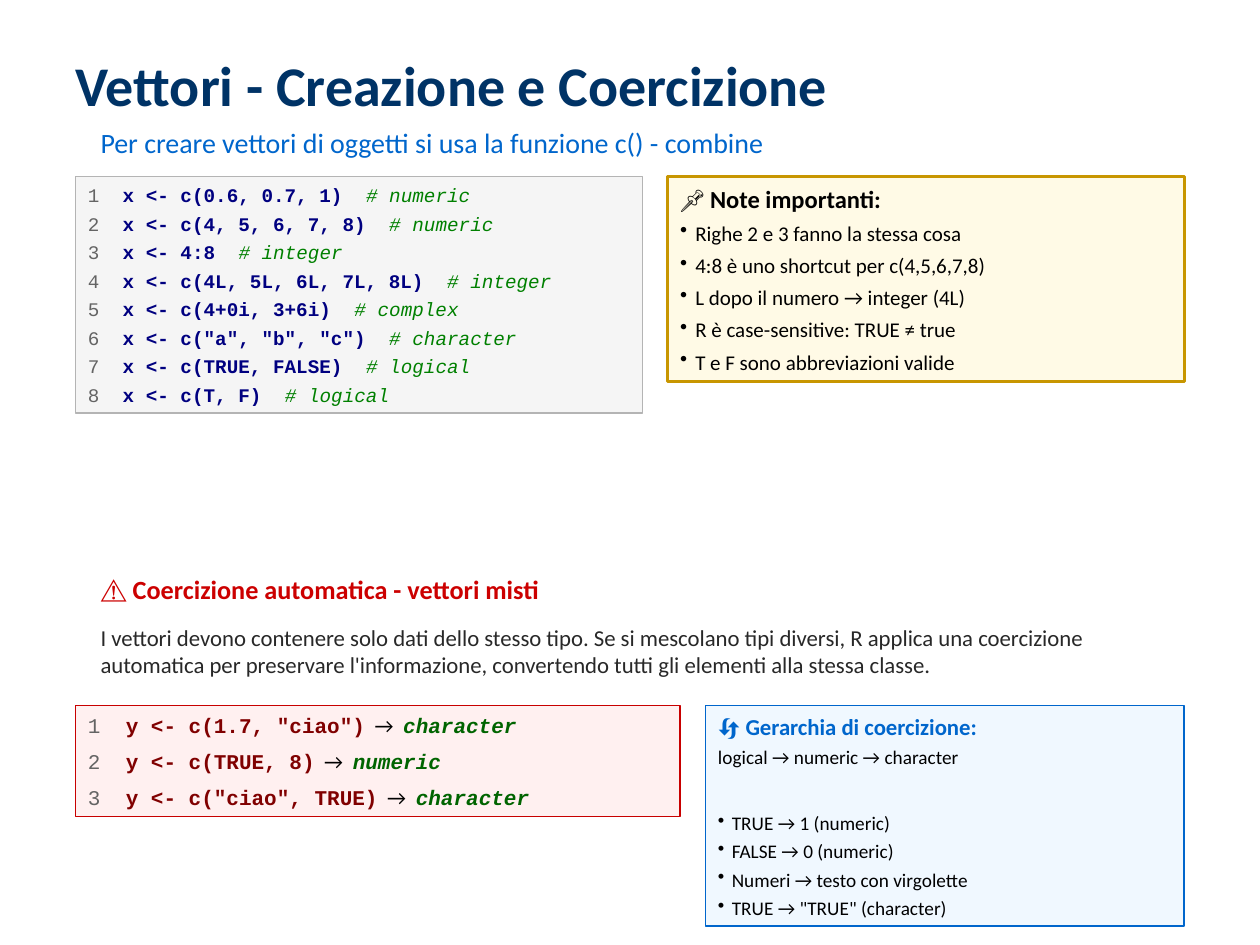
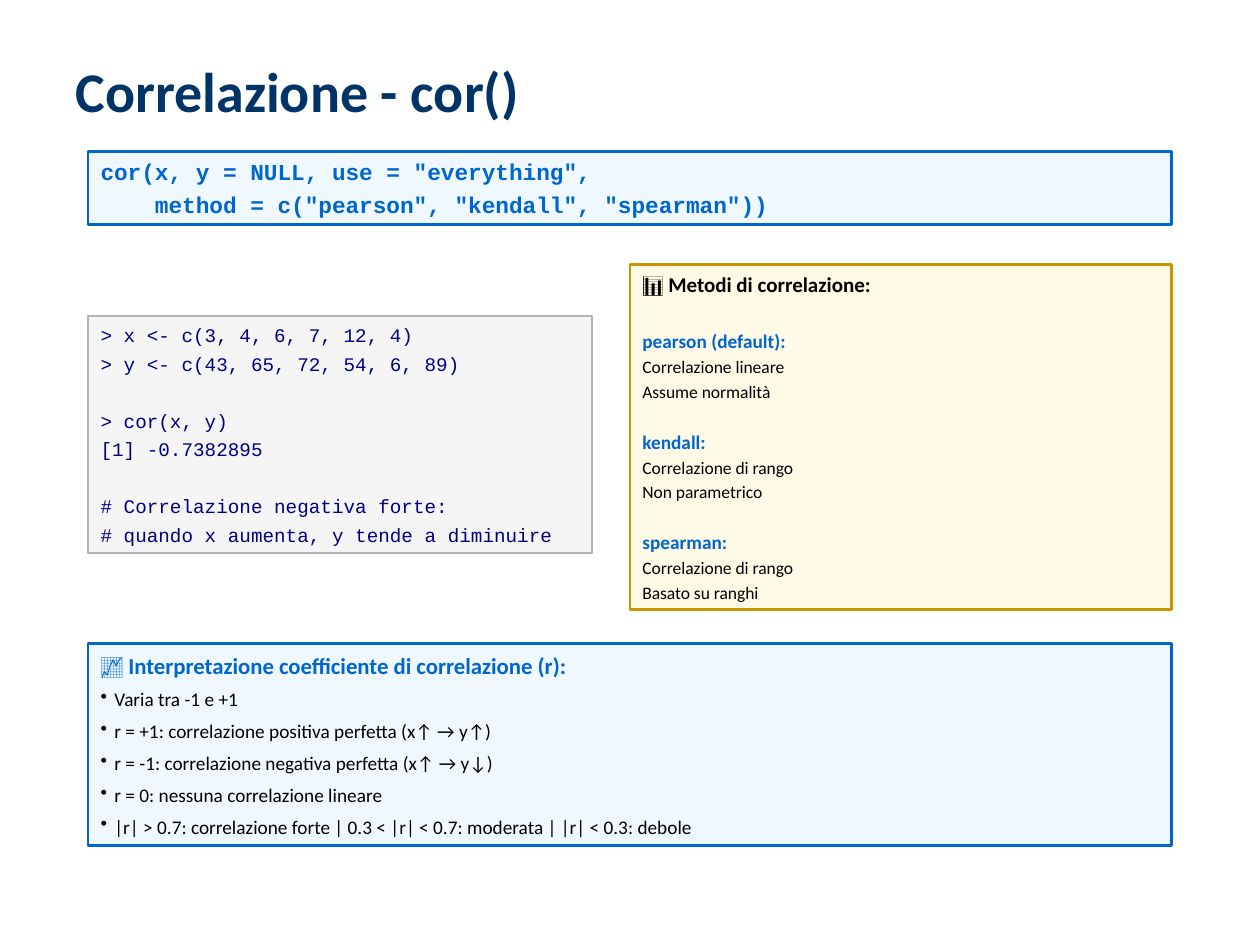
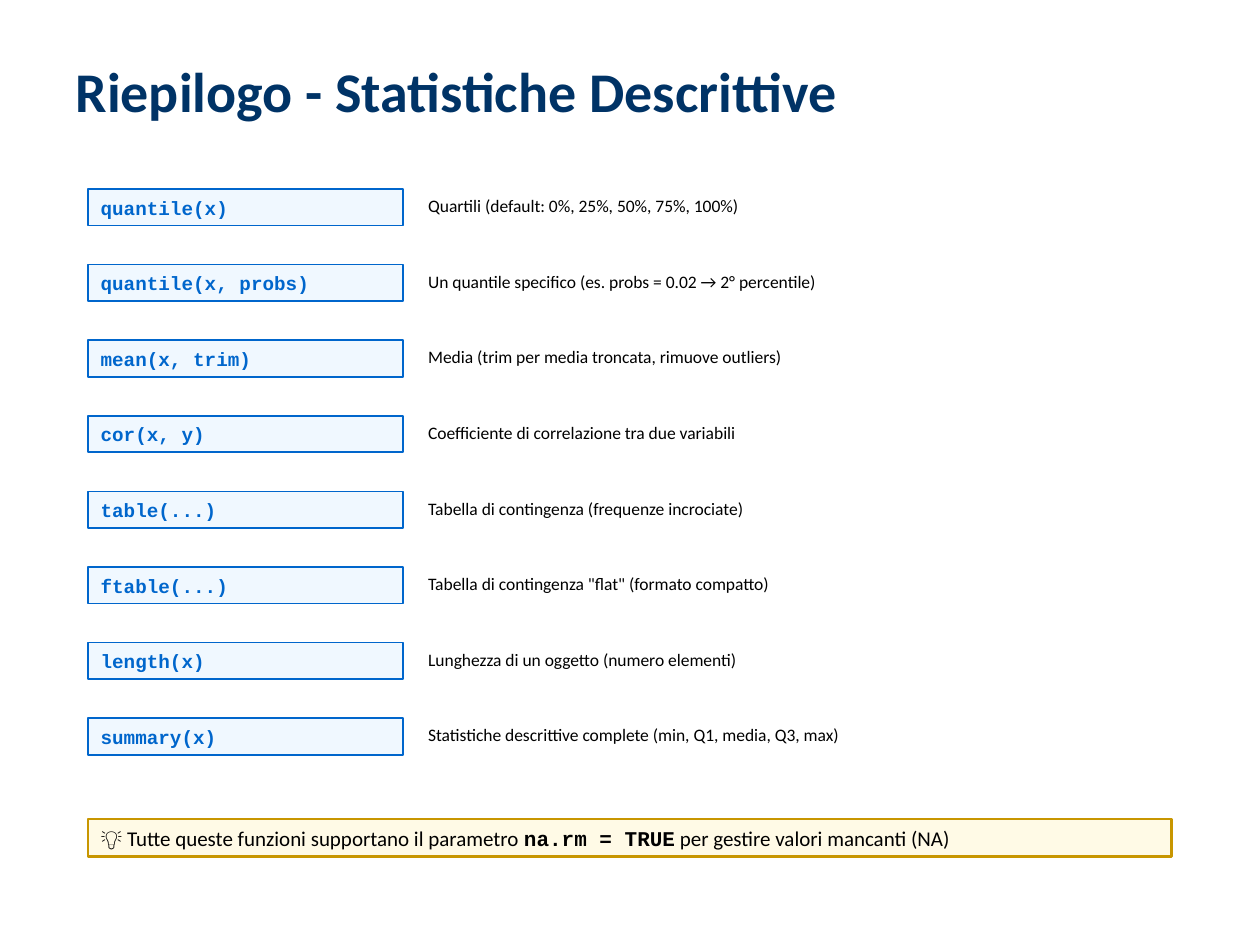
from dataclasses import dataclass

import pptx
import pptx.dml.color
import pptx.enum.shapes
import pptx.enum.text
import pptx.oxml
import pptx.oxml.ns
import pptx.util
from pptx.util import Inches

MIDDLE = pptx.enum.text.MSO_ANCHOR.MIDDLE
TOP = pptx.enum.text.MSO_ANCHOR.TOP


@dataclass(frozen=True)
class Theme:
    # Fonts
    body: str = "Calibri"
    code: str = "Courier New"
    code_leading: float = 1.21
    # Colours
    title: str = "003366"
    accent: str = "0066CC"
    black: str = "000000"
    text: str = "282828"
    warning: str = "CC0000"
    line_number: str = "646464"
    code_text: str = "000080"
    comment: str = "008000"
    mixed_code: str = "800000"
    result: str = "006400"
    # Type sizes
    title_size: int = 32
    subtitle_size: int = 16
    warning_size: int = 15
    heading_size: int = 14
    lead_size: int = 13
    note_size: int = 12
    list_size: int = 11
    small_size: int = 10


@dataclass(frozen=True)
class Box:
    left: float
    top: float
    width: float
    height: float

    def lengths(self):
        return [Inches(value) for value in (self.left, self.top, self.width, self.height)]


@dataclass(frozen=True)
class Panel:
    fill: str
    line: str
    weight: float


THEME = Theme()
CODE_PANEL = Panel("F5F5F5", "B4B4B4", 1)
NOTE_PANEL = Panel("FFFAE6", "C89600", 1.5)
WARNING_PANEL = Panel("FFF0F0", "C80000", 1)
INFO_PANEL = Panel("F0F8FF", "0066CC", 1)
STRONG_INFO_PANEL = Panel("F0F8FF", "0066CC", 1.5)


def rgb(value):
    return pptx.dml.color.RGBColor.from_string(value)


# Text
def add_run(paragraph, text, size=THEME.list_size, color=THEME.black,
            font=THEME.body, bold=False, italic=False):
    run = paragraph.add_run()
    run.text = text
    run.font.size = pptx.util.Pt(size)
    run.font.name = font
    run.font.bold = bold
    run.font.italic = italic
    run.font.color.rgb = rgb(color)


def add_paragraph(frame, before=0):
    first = frame.paragraphs[0]
    if not first.runs:
        paragraph = first
    else:
        paragraph = frame.add_paragraph()
        paragraph.space_before = pptx.util.Pt(before)
    paragraph.alignment = pptx.enum.text.PP_ALIGN.LEFT
    return paragraph


def add_line(frame, text, before=0, **text_format):
    paragraph = add_paragraph(frame, before)
    add_run(paragraph, text, **text_format)


def add_bullets(frame, items, before, size):
    for item in items:
        paragraph = add_paragraph(frame, before)
        indent = pptx.util.Pt(size * 0.72)
        properties = paragraph._p.get_or_add_pPr()
        properties.set("marL", str(indent))
        properties.set("indent", str(-indent))
        bullet = pptx.oxml.parse_xml(
            f'<a:buChar {pptx.oxml.ns.nsdecls("a")} char="•"/>')
        properties.append(bullet)
        add_run(paragraph, item, size=size)


def add_code_paragraph(frame, size, before=0):
    paragraph = add_paragraph(frame, before)
    paragraph.line_spacing = pptx.util.Pt(round(size * THEME.code_leading, 1))
    return paragraph


def add_code_line(frame, text, size, color, before=0, bold=False):
    paragraph = add_code_paragraph(frame, size, before)
    add_run(paragraph, text, size=size, color=color, font=THEME.code, bold=bold)


def add_numbered_code(frame, number, size, before):
    """Start a code line whose number is followed by a tab."""
    paragraph = add_code_paragraph(frame, size, before)
    stop = pptx.util.Pt(size * 1.8)
    paragraph._p.get_or_add_pPr().append(pptx.oxml.parse_xml(
        f'<a:tabLst {pptx.oxml.ns.nsdecls("a")}>'
        f'<a:tab pos="{stop}" algn="l"/></a:tabLst>'))
    add_run(paragraph, f"{number}\t", size=size, color=THEME.line_number, font=THEME.code)
    return paragraph


# Shared parts
def prepare_frame(shape, anchor):
    frame = shape.text_frame
    frame.word_wrap = True
    frame.auto_size = pptx.enum.text.MSO_AUTO_SIZE.NONE
    frame.vertical_anchor = anchor
    return frame


def add_panel(slide, box, style):
    shape = slide.shapes.add_shape(
        pptx.enum.shapes.MSO_SHAPE.RECTANGLE, *box.lengths())
    shape.shadow.inherit = False
    shape.fill.solid()
    shape.fill.fore_color.rgb = rgb(style.fill)
    shape.line.color.rgb = rgb(style.line)
    shape.line.width = pptx.util.Pt(style.weight)
    return prepare_frame(shape, MIDDLE)


def add_label(slide, box, text, **text_format):
    frame = prepare_frame(slide.shapes.add_textbox(*box.lengths()), TOP)
    add_line(frame, text, **text_format)


def add_titled_slide(presentation, text, top=0.4):
    slide = presentation.slides.add_slide(presentation.slide_layouts[5])
    title = slide.shapes.title
    title.left, title.top, title.width, title.height = Box(0.5, top, 9, 0.64).lengths()
    add_line(prepare_frame(title, TOP), text, size=THEME.title_size,
             color=THEME.title, bold=True)
    return slide


# Vectors slide
def vector_code(slide, box):
    frame = add_panel(slide, box, CODE_PANEL)
    examples = [
        ("x <- c(0.6, 0.7, 1)", "numeric"),
        ("x <- c(4, 5, 6, 7, 8)", "numeric"),
        ("x <- 4:8", "integer"),
        ("x <- c(4L, 5L, 6L, 7L, 8L)", "integer"),
        ("x <- c(4+0i, 3+6i)", "complex"),
        ('x <- c("a", "b", "c")', "character"),
        ("x <- c(TRUE, FALSE)", "logical"),
        ("x <- c(T, F)", "logical"),
    ]
    for number, (code, kind) in enumerate(examples, 1):
        paragraph = add_numbered_code(frame, number, THEME.list_size, before=3)
        add_run(paragraph, code, color=THEME.code_text, font=THEME.code, bold=True)
        add_run(paragraph, f"  # {kind}", color=THEME.comment, font=THEME.code, italic=True)


def vector_notes(slide, box):
    frame = add_panel(slide, box, NOTE_PANEL)
    add_line(frame, "📌 Note importanti:", size=THEME.heading_size, bold=True)
    add_bullets(frame, [
        "Righe 2 e 3 fanno la stessa cosa",
        "4:8 è uno shortcut per c(4,5,6,7,8)",
        "L dopo il numero → integer (4L)",
        "R è case-sensitive: TRUE ≠ true",
        "T e F sono abbreviazioni valide",
    ], before=4, size=THEME.note_size)


def coercion_code(slide, box):
    frame = add_panel(slide, box, WARNING_PANEL)
    size = THEME.note_size
    examples = [
        ('y <- c(1.7, "ciao")', "character"),
        ("y <- c(TRUE, 8)", "numeric"),
        ('y <- c("ciao", TRUE)', "character"),
    ]
    for number, (code, kind) in enumerate(examples, 1):
        paragraph = add_numbered_code(frame, number, size, before=6)
        add_run(paragraph, code, size=size, color=THEME.mixed_code,
                font=THEME.code, bold=True)
        add_run(paragraph, "  →  ", size=size)
        add_run(paragraph, kind, size=size, color=THEME.result,
                font=THEME.code, bold=True, italic=True)


def coercion_hierarchy(slide, box):
    frame = add_panel(slide, box, INFO_PANEL)
    add_line(frame, "🔄 Gerarchia di coercizione:", size=THEME.lead_size,
             color=THEME.accent, bold=True)
    add_line(frame, "logical → numeric → character", before=3)
    add_bullets(frame, ["TRUE → 1 (numeric)"], before=24.5, size=THEME.list_size)
    add_bullets(frame, [
        "FALSE → 0 (numeric)",
        "Numeri → testo con virgolette",
        'TRUE → "TRUE" (character)',
    ], before=3, size=THEME.list_size)


def vectors_slide(presentation):
    slide = add_titled_slide(presentation, "Vettori - Creazione e Coercizione", top=0.35)
    add_label(slide, Box(0.7, 0.95, 8.6, 0.37),
              "Per creare vettori di oggetti si usa la funzione c() - combine",
              size=THEME.subtitle_size, color=THEME.accent)
    vector_code(slide, Box(0.6, 1.4, 4.5, 1.88))
    vector_notes(slide, Box(5.3, 1.4, 4.1, 1.63))
    add_label(slide, Box(0.7, 4.5, 8.6, 0.35),
              "⚠️ Coercizione automatica - vettori misti",
              size=THEME.warning_size, color=THEME.warning, bold=True)
    add_label(slide, Box(0.7, 4.9, 8.6, 0.54),
              "I vettori devono contenere solo dati dello stesso tipo. "
              "Se si mescolano tipi diversi, R applica una coercizione automatica "
              "per preservare l'informazione, convertendo tutti gli elementi "
              "alla stessa classe.",
              size=THEME.lead_size, color=THEME.text)
    coercion_code(slide, Box(0.6, 5.6, 4.8, 0.88))
    coercion_hierarchy(slide, Box(5.6, 5.6, 3.8, 1.75))


# Correlation slide
def correlation_signature(slide, box):
    frame = add_panel(slide, box, STRONG_INFO_PANEL)
    for code in ('cor(x, y = NULL, use = "everything",',
                 '    method = c("pearson", "kendall", "spearman"))'):
        add_code_line(frame, code, THEME.lead_size, THEME.accent, before=3, bold=True)


def correlation_session(slide, box):
    frame = add_panel(slide, box, CODE_PANEL)
    groups = [
        ("> x <- c(3, 4, 6, 7, 12, 4)", "> y <- c(43, 65, 72, 54, 6, 89)"),
        ("> cor(x, y)", "[1] -0.7382895"),
        ("# Correlazione negativa forte:", "# quando x aumenta, y tende a diminuire"),
    ]
    for opening, closing in groups:
        add_code_line(frame, opening, THEME.list_size, THEME.code_text, before=19.3)
        add_code_line(frame, closing, THEME.list_size, THEME.code_text, before=3)


def correlation_methods(slide, box):
    frame = add_panel(slide, box, NOTE_PANEL)
    add_line(frame, "📊 Metodi di correlazione:", size=THEME.note_size, bold=True)
    methods = [
        ("pearson (default):", 18.6, "Correlazione lineare", "Assume normalità"),
        ("kendall:", 16.2, "Correlazione di rango", "Non parametrico"),
        ("spearman:", 16.2, "Correlazione di rango", "Basato su ranghi"),
    ]
    for name, gap, *details in methods:
        add_line(frame, name, before=gap, color=THEME.accent, bold=True)
        for detail in details:
            add_line(frame, detail, before=2, size=THEME.small_size)


def correlation_reading(slide, box):
    frame = add_panel(slide, box, STRONG_INFO_PANEL)
    add_line(frame, "📈 Interpretazione coefficiente di correlazione (r):",
             size=THEME.lead_size, color=THEME.accent, bold=True)
    add_bullets(frame, [
        "Varia tra -1 e +1",
        "r = +1: correlazione positiva perfetta (x↑ → y↑)",
        "r = -1: correlazione negativa perfetta (x↑ → y↓)",
        "r = 0: nessuna correlazione lineare",
        "|r| > 0.7: correlazione forte | 0.3 < |r| < 0.7: moderata | |r| < 0.3: debole",
    ], before=5, size=THEME.list_size)


def correlation_slide(presentation):
    slide = add_titled_slide(presentation, "Correlazione - cor()")
    correlation_signature(slide, Box(0.7, 1.2, 8.6, 0.58))
    correlation_session(slide, Box(0.7, 2.51, 4, 1.88))
    correlation_methods(slide, Box(5, 2.1, 4.3, 2.74))
    correlation_reading(slide, Box(0.7, 5.11, 8.6, 1.6))


# Summary slide
def function_list(slide, box):
    functions = [
        ("quantile(x)", "Quartili (default: 0%, 25%, 50%, 75%, 100%)"),
        ("quantile(x, probs)", "Un quantile specifico (es. probs = 0.02 → 2° percentile)"),
        ("mean(x, trim)", "Media (trim per media troncata, rimuove outliers)"),
        ("cor(x, y)", "Coefficiente di correlazione tra due variabili"),
        ("table(...)", "Tabella di contingenza (frequenze incrociate)"),
        ("ftable(...)", 'Tabella di contingenza "flat" (formato compatto)'),
        ("length(x)", "Lunghezza di un oggetto (numero elementi)"),
        ("summary(x)", "Statistiche descrittive complete (min, Q1, media, Q3, max)"),
    ]
    pitch = box.height / len(functions)
    call_width, gap = 2.5, 0.1
    for row, (call, description) in enumerate(functions):
        top = box.top + row * pitch
        frame = add_panel(slide, Box(box.left, top, call_width, 0.29), INFO_PANEL)
        add_code_line(frame, call, THEME.list_size, THEME.accent, bold=True)
        add_label(slide, Box(box.left + call_width + gap, top,
                             box.width - call_width - gap, 0.27),
                  description, size=THEME.small_size)


def missing_values_tip(slide, box):
    paragraph = add_paragraph(add_panel(slide, box, NOTE_PANEL))
    size = THEME.note_size
    add_run(paragraph, "💡 Tutte queste funzioni supportano il parametro ", size=size)
    add_run(paragraph, "na.rm = TRUE", size=size, font=THEME.code, bold=True)
    add_run(paragraph, " per gestire valori mancanti (NA)", size=size)


def summary_slide(presentation):
    slide = add_titled_slide(presentation, "Riepilogo - Statistiche Descrittive")
    function_list(slide, Box(0.7, 1.5, 8.6, 4.8))
    missing_values_tip(slide, Box(0.7, 6.5, 8.6, 0.3))


def main():
    presentation = pptx.Presentation()
    presentation.slide_width = Inches(10)
    presentation.slide_height = Inches(7.5)
    vectors_slide(presentation)
    correlation_slide(presentation)
    summary_slide(presentation)
    presentation.save("out.pptx")


if __name__ == "__main__":
    main()
